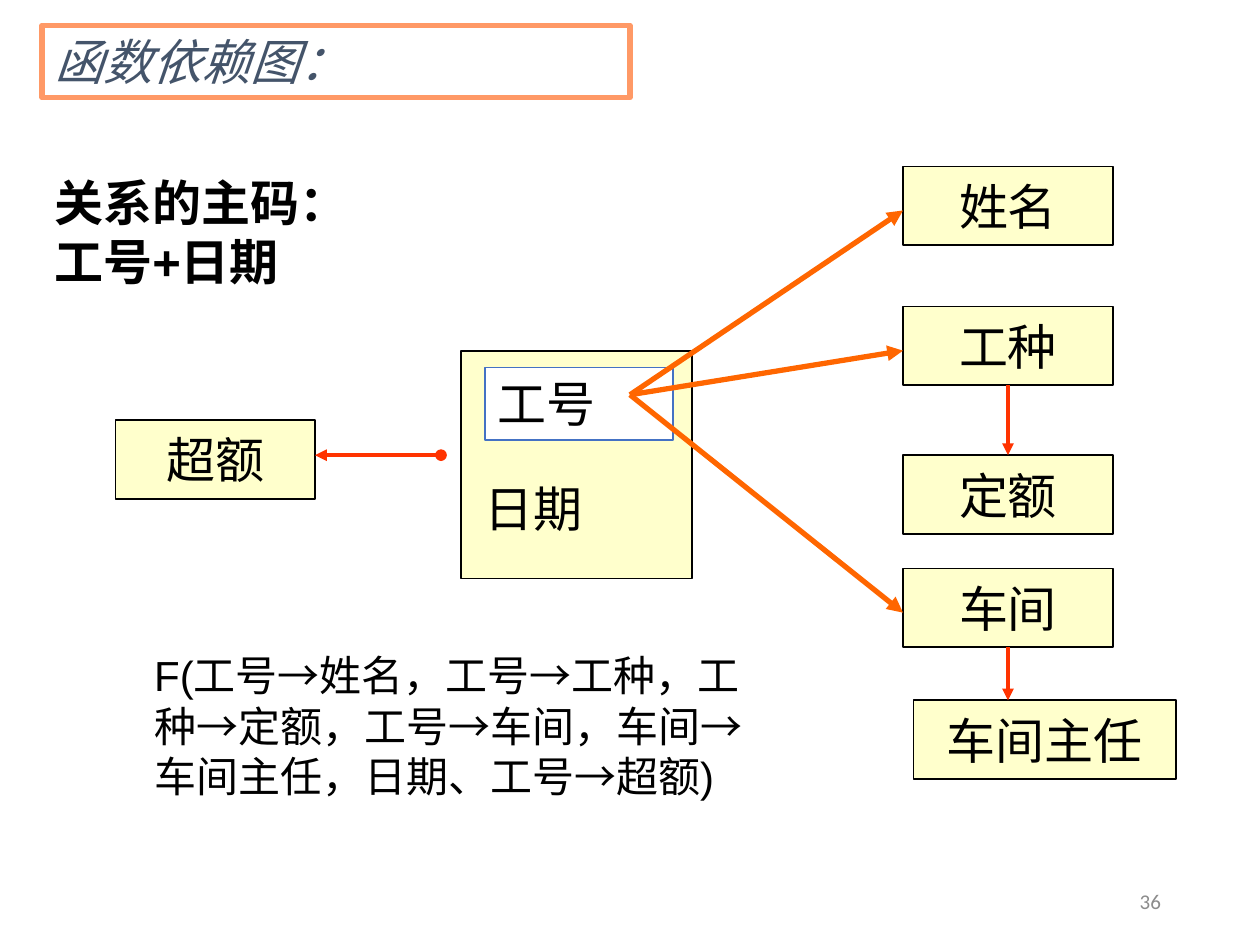
from dataclasses import dataclass

from lxml.etree import SubElement
from pptx import Presentation
from pptx.dml.color import RGBColor
from pptx.enum.shapes import MSO_CONNECTOR, MSO_SHAPE
from pptx.enum.text import MSO_ANCHOR, MSO_AUTO_SIZE, PP_ALIGN
from pptx.oxml.ns import qn
from pptx.util import Inches, Pt


@dataclass(frozen=True)
class Theme:
    """Colours, typefaces and type sizes of the slide."""
    ink: str = "000000"
    heading: str = "44546A"
    muted: str = "8C8C8C"
    paper: str = "FFFFFF"
    box: str = "FFFFCC"
    frame: str = "FF9966"
    key_frame: str = "4472C4"
    from_key: str = "FF6600"
    other: str = "FF3300"
    serif: str = "Times New Roman"
    sans: str = "Arial"
    number: str = "Calibri"
    large: int = 28
    medium: int = 24
    small: int = 12


THEME = Theme()
CELLS_PER_INCH = 12
NODE_HEIGHT = 7.5
COLUMN_LEFT, COLUMN_WIDTH = 86, 20


def cells(*lengths):
    """Turn columns or rows of the grid into slide lengths."""
    return [Inches(length / CELLS_PER_INCH) for length in lengths]


def write(target, text, font=THEME.serif, size=THEME.large, color=THEME.ink,
          bold=False, italic=False, align=PP_ALIGN.LEFT,
          anchor=MSO_ANCHOR.TOP, wrap=True):
    """Put formatted text into a shape, one paragraph per line."""
    frame = target.text_frame
    frame.text = text
    frame.word_wrap = wrap
    frame.auto_size = MSO_AUTO_SIZE.NONE
    frame.vertical_anchor = anchor
    for paragraph in frame.paragraphs:
        paragraph.alignment = align
        paragraph.space_before = Pt(0)
        paragraph.font.name = font
        paragraph.font.size = Pt(size)
        paragraph.font.bold = bold
        paragraph.font.italic = italic
        paragraph.font.color.rgb = RGBColor.from_string(color)


def paint(target, fill, line=None, width=1):
    """Set the fill and the outline of a shape."""
    target.fill.solid()
    target.fill.fore_color.rgb = RGBColor.from_string(fill)
    if line:
        target.line.color.rgb = RGBColor.from_string(line)
        target.line.width = Pt(width)
    else:
        target.line.fill.background()


def add_box(slide, area, fill=THEME.box, line=THEME.ink):
    """Draw a flat rectangle on the grid."""
    box = slide.shapes.add_shape(MSO_SHAPE.RECTANGLE, *cells(*area))
    box.shadow.inherit = False
    paint(box, fill, line)
    return box


def add_attribute(slide, name, left, top, width):
    """Draw a dependent attribute with its name centred."""
    attribute = add_box(slide, (left, top, width, NODE_HEIGHT))
    write(attribute, name, align=PP_ALIGN.CENTER, anchor=MSO_ANCHOR.MIDDLE,
          wrap=False)


def add_arrow(slide, start, end, color=THEME.other, width=2.25, head=None):
    """Draw a dependency arrow between two grid points."""
    arrow = slide.shapes.add_connector(MSO_CONNECTOR.STRAIGHT,
                                       *cells(*start, *end))
    arrow.line.color.rgb = RGBColor.from_string(color)
    arrow.line.width = Pt(width)
    outline = arrow.line._get_or_add_ln()
    if head:
        SubElement(outline, qn("a:headEnd"), type=head)
    SubElement(outline, qn("a:tailEnd"), type="triangle")
    SubElement(arrow._element.spPr, qn("a:effectLst"))


def add_text(slide, text, area, **style):
    """Place a text box on the grid."""
    write(slide.shapes.add_textbox(*cells(*area)), text, **style)


def add_heading(slide, text, area):
    """Frame the title placeholder and place it on the grid."""
    title = slide.shapes.title
    title.left, title.top, title.width, title.height = cells(*area)
    paint(title, THEME.paper, THEME.frame, 3)
    write(title, text, color=THEME.heading, italic=True)


def add_primary_key(slide):
    """Draw the composite key and its two parts."""
    add_box(slide, (43.9, 33.4, 22, 21.7))
    employee = add_box(slide, (46.2, 35, 17.9, 6.9), THEME.paper,
                       THEME.key_frame)
    write(employee, "工号")
    date = add_box(slide, (45, 45, 19, 6.9), line=None)
    write(date, "日期")


def add_dependencies(slide):
    """Draw the attributes and the arrows that lead to them."""
    tops = {"姓名": 15.85, "工种": 29.2, "定额": 43.35, "车间": 54.15}
    for name, top in tops.items():
        add_attribute(slide, name, COLUMN_LEFT, top, COLUMN_WIDTH)
    add_attribute(slide, "超额", 11, 40, 19)
    add_attribute(slide, "车间主任", 87, 66.7, 25)

    for name in ("工种", "姓名", "车间"):
        add_arrow(slide, (60, 37.6), (COLUMN_LEFT, tops[name] + 4.2),
                  THEME.from_key, 3)
    middle = COLUMN_LEFT + COLUMN_WIDTH / 2
    for name, target_top in (("车间", 66.7), ("工种", tops["定额"])):
        add_arrow(slide, (middle, tops[name] + NODE_HEIGHT),
                  (middle, target_top))
    add_arrow(slide, (42, 43.35), (30, 43.35), head="oval")


def main():
    """Build the functional dependency slide."""
    deck = Presentation()
    deck.slide_width, deck.slide_height = Inches(10), Inches(7.5)
    slide = deck.slides.add_slide(deck.slide_layouts[5])

    add_heading(slide, "函数依赖图：", (4, 2.4, 56, 6.9))
    add_primary_key(slide)
    add_dependencies(slide)
    add_text(slide, "F(工号→姓名，工号→工种，工种→定额，工号→车间，"
             "车间→车间主任，日期、工号→超额)", (13.5, 61.3, 60, 15.7),
             font=THEME.sans, size=THEME.medium)
    add_text(slide, "关系的主码：\n工号+日期", (4, 15.85, 40, 12.5),
             font=THEME.sans, bold=True)
    add_text(slide, "36", (84.75, 83.4, 27, 4.8), font=THEME.number,
             size=THEME.small, color=THEME.muted, align=PP_ALIGN.RIGHT,
             anchor=MSO_ANCHOR.MIDDLE)
    deck.save("out.pptx")


if __name__ == "__main__":
    main()
